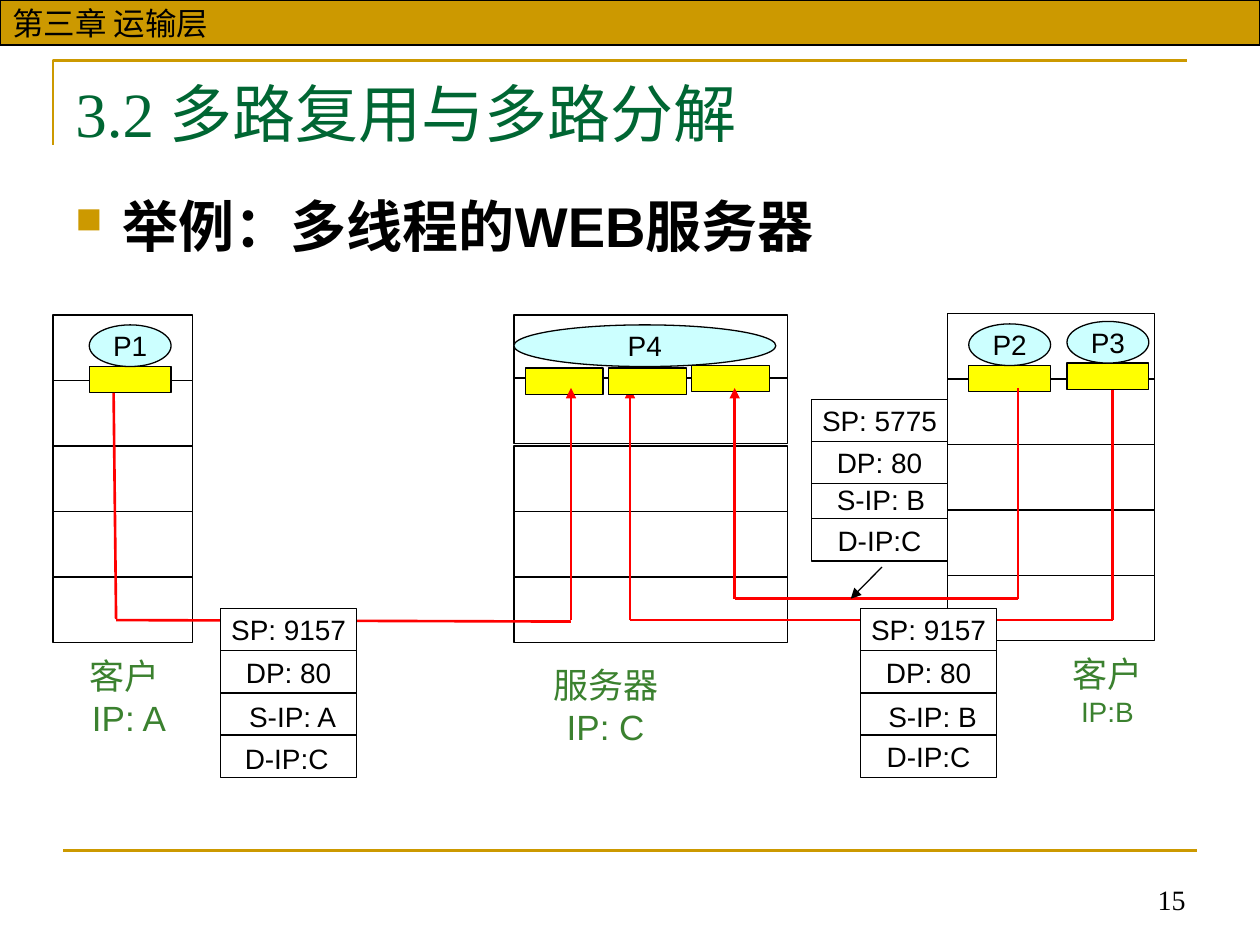
from dataclasses import dataclass
from typing import Optional

from lxml.etree import SubElement
from pptx import Presentation
from pptx.dml.color import RGBColor
from pptx.enum.shapes import MSO_CONNECTOR as Link, MSO_SHAPE as Preset
from pptx.enum.text import MSO_ANCHOR as Anchor, PP_ALIGN as Align
from pptx.oxml.ns import qn
from pptx.util import Cm, Pt

COLORS = {
    "gold": "CC9900", "title": "006633", "host": "3B812F", "process": "CCFFFF",
    "socket": "FFFF00", "route": "FF0000", "ink": "000000", "paper": "FFFFFF",
}
LAYER_H = 1.32
OVAL_H = 0.84
SOCKET_H = 0.53
FIELD_W, FIELD_H = 2.74, 0.85
LABEL_W, LABEL_H = 2.3, 0.94


@dataclass
class Host:
    left: float
    top: float
    width: float
    second_shift: float = 0


@dataclass
class Caption:
    left: float
    top: float
    width: float
    lines: list[tuple[str, int]]


@dataclass
class Process:
    name: str
    left: float
    top: float


@dataclass
class Field:
    text: str
    shift: float = 0
    label: Optional[tuple[float, float]] = None  # offset of a separate label


@dataclass
class Packet:
    left: float
    top: float
    fields: list[Field]


deck = Presentation()
deck.slide_width, deck.slide_height = Cm(25.4), Cm(19.05)
slide = deck.slides.add_slide(deck.slide_layouts[6])
shapes = slide.shapes


def color(name: str) -> RGBColor:
    return RGBColor.from_string(COLORS[name])


def write(frame, lines: list[tuple[str, int]], ink: str = "ink",
          align: Align = Align.CENTER, anchor: Anchor = Anchor.TOP,
          font: str = "Arial", wrap: bool = False, bold: bool = False) -> None:
    frame.word_wrap = wrap
    frame.vertical_anchor = anchor
    for number, (text, size) in enumerate(lines):
        paragraph = frame.add_paragraph() if number else frame.paragraphs[0]
        paragraph.alignment = align
        run = paragraph.add_run()
        run.text = text
        run.font.name, run.font.size, run.font.bold = font, Pt(size), bold
        run.font.color.rgb = color(ink)


def text_box(left: float, top: float, width: float, height: float,
             lines: list[tuple[str, int]], **style):
    frame = shapes.add_textbox(Cm(left), Cm(top), Cm(width), Cm(height)).text_frame
    write(frame, lines, **style)
    return frame


def block(left: float, top: float, width: float, height: float, fill: str = "paper",
          text: str = "", preset: Preset = Preset.RECTANGLE, size: int = 16,
          align: Align = Align.CENTER) -> None:
    shape = shapes.add_shape(preset, Cm(left), Cm(top), Cm(width), Cm(height))
    shape.shadow.inherit = False
    shape.fill.solid()
    shape.fill.fore_color.rgb = color(fill)
    shape.line.color.rgb = color("ink")
    shape.line.width = Pt(0.75)
    if text:
        write(shape.text_frame, [(text, size)], align=align, anchor=Anchor.MIDDLE)


def line(x1: float, y1: float, x2: float, y2: float, ink: str = "route",
         width: float = 1.5, arrow: bool = False) -> None:
    link = shapes.add_connector(Link.STRAIGHT, Cm(x1), Cm(y1), Cm(x2), Cm(y2))
    link.line.color.rgb = color(ink)
    link.line.width = Pt(width)
    if arrow:
        SubElement(link.line._get_or_add_ln(), qn("a:tailEnd"), type="triangle")
    SubElement(link._element.spPr, qn("a:effectLst"))


def draw_host(host: Host) -> None:
    for layer in range(5):
        shift = host.second_shift if layer == 1 else 0
        block(host.left, host.top + layer * LAYER_H + shift, host.width, LAYER_H)


def draw_caption(caption: Caption) -> None:
    text_box(caption.left, caption.top, caption.width, 1.96, caption.lines, ink="host")


def draw_socket(left: float, top: float, width: float = 1.57) -> None:
    block(left, top, width, SOCKET_H, "socket")


def draw_oval(name: str, left: float, top: float, width: float) -> None:
    block(left, top, width, OVAL_H, "process", name, Preset.OVAL)


def draw_process(process: Process) -> None:
    draw_socket(process.left, process.top + OVAL_H, 1.65)
    draw_oval(process.name, process.left, process.top, 1.65)


def draw_packet(packet: Packet) -> None:
    tops = [packet.top + i * FIELD_H + f.shift for i, f in enumerate(packet.fields)]
    for field, top in zip(packet.fields, tops):
        block(packet.left, top, FIELD_W, FIELD_H, text="" if field.label else field.text)
    for field, top in zip(packet.fields, tops):
        if field.label:
            dx, dy = field.label
            text_box(packet.left + dx, top + dy, LABEL_W, LABEL_H, [(field.text, 16)])


# Frame lines and chapter band
corner = shapes.build_freeform(Cm(1.07), Cm(2.92), scale=1.0)
corner.add_line_segments([(Cm(1.07), Cm(1.22)), (Cm(23.93), Cm(1.22))], close=False)
frame_line = corner.convert_to_shape()
frame_line.shadow.inherit = False
frame_line.fill.background()
frame_line.line.color.rgb = color("gold")
frame_line.line.width = Pt(1.5)
line(1.27, 17.15, 24.13, 17.15, "gold")
block(0, 0, 25.4, 0.91, "gold", "第三章 运输层", size=18, align=Align.LEFT)

# Page number, title and bullet
text_box(16.1, 17.32, 8.05, 1.27, [("15", 16)], font="Times New Roman",
         align=Align.RIGHT, anchor=Anchor.BOTTOM, wrap=True)
text_box(1.27, 1.37, 22.86, 1.96, [("3.2 多路复用与多路分解", 36)], ink="title",
         font="Times New Roman", align=Align.LEFT, wrap=True)
example = text_box(1.27, 3.73, 22.86, 13.2, [("举例：多线程的WEB服务器", 32)],
                   align=Align.LEFT, wrap=True, bold=True)
bullet = example.paragraphs[0]._p.get_or_add_pPr()
bullet.set("marL", str(Cm(0.95)))
bullet.set("indent", str(-Cm(0.95)))
SubElement(SubElement(bullet, qn("a:buClr")), qn("a:srgbClr"), val=COLORS["gold"])
SubElement(bullet, qn("a:buSzPct"), val="65000")
SubElement(bullet, qn("a:buChar"), char="■")

# Hosts: client A, client B, server
for host in (Host(1.07, 6.35, 2.81), Host(19.1, 6.32, 4.17),
             Host(10.36, 6.35, 5.51, second_shift=-0.05)):
    draw_host(host)
for caption in (Caption(1.4, 13.06, 2.21, [("客户", 20), (" IP: A", 20)]),
                Caption(21.36, 13.03, 1.93, [("客户", 20), ("IP:B", 16)]),
                Caption(10.9, 13.26, 2.62, [("服务器", 20), ("IP: C", 20)])):
    draw_caption(caption)

# Client processes P1 and P2, and the first server socket
draw_process(Process("P1", 1.8, 6.55))
draw_process(Process("P2", 19.53, 6.53))
draw_socket(10.59, 7.42)

# Routes P1 to server and P3 to server
line(2.29, 7.92, 2.34, 12.48)
line(11.51, 12.5, 11.51, 7.82, arrow=True)
line(2.34, 12.5, 11.51, 12.53)
line(22.43, 7.62, 22.43, 12.5)
line(12.7, 12.5, 12.7, 7.82, arrow=True)
line(12.7, 12.5, 22.43, 12.5)

# Server process with its other sockets, and client process P3
draw_socket(12.27, 7.42)
draw_oval("P4", 10.36, 6.55, 5.28)
draw_socket(13.94, 7.37)
draw_process(Process("P3", 21.51, 6.48))

# Route P2 to server
line(20.52, 7.82, 20.52, 12.07)
line(14.81, 12.07, 20.52, 12.07)
line(14.81, 12.07, 14.81, 7.82, arrow=True)

# Packets
for packet in (
    Packet(4.45, 12.27, [Field("SP: 9157"), Field("DP: 80"),
                         Field("S-IP: A", label=(0.3, 0)),
                         Field("D-IP:C", label=(0.18, 0))]),
    Packet(17.35, 12.27, [Field("SP: 9157"), Field("DP: 80"),
                          Field("S-IP: B", label=(0.3, 0)), Field("D-IP:C")]),
    Packet(16.36, 8.05, [Field("SP: 5775"), Field("DP: 80"),
                         Field("S-IP: B", label=(0.25, -0.15)),
                         Field("D-IP:C", shift=-0.14)]),
):
    draw_packet(packet)
line(17.78, 11.43, 17.15, 12.07, "ink", 0.75, arrow=True)

deck.save("out.pptx")
